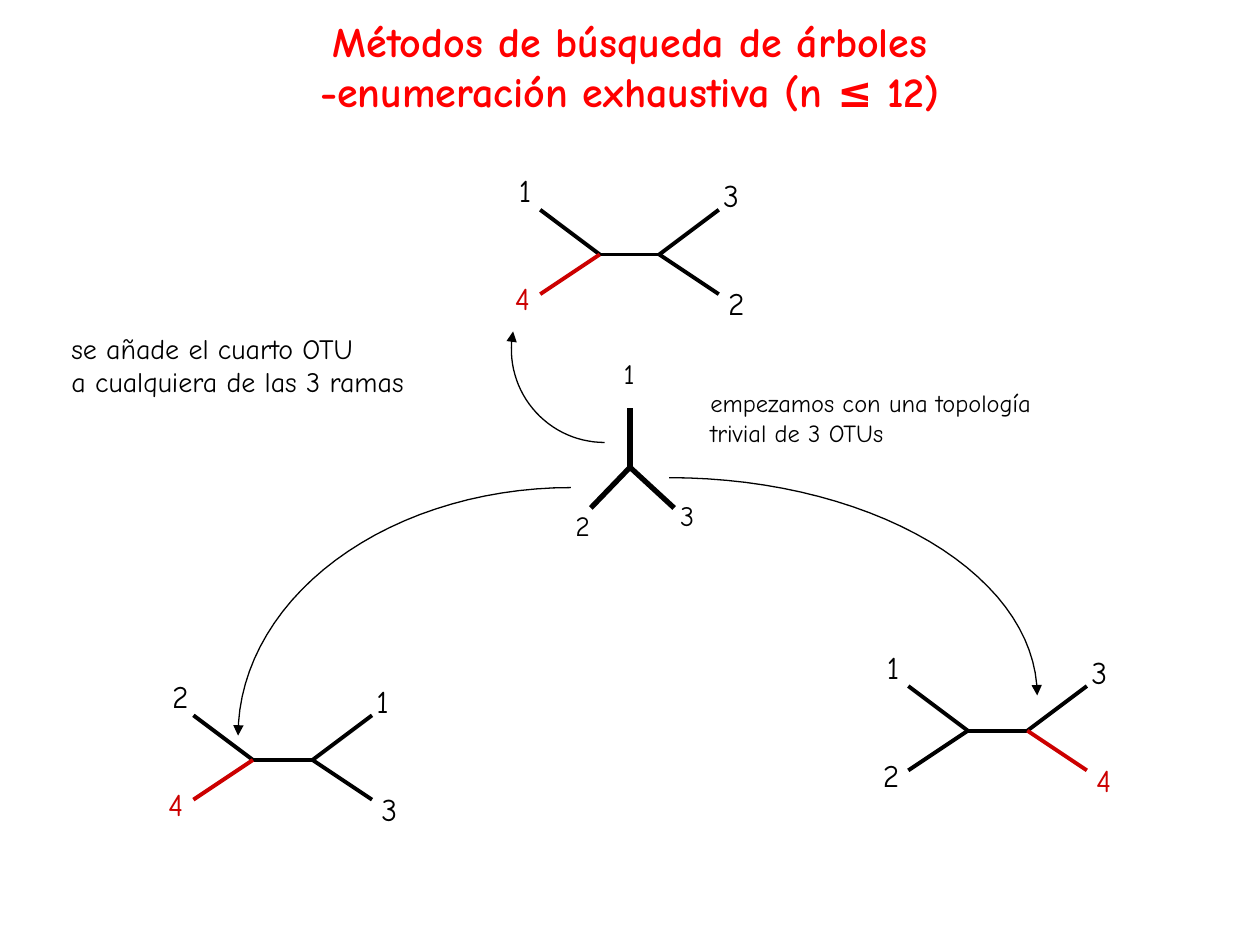
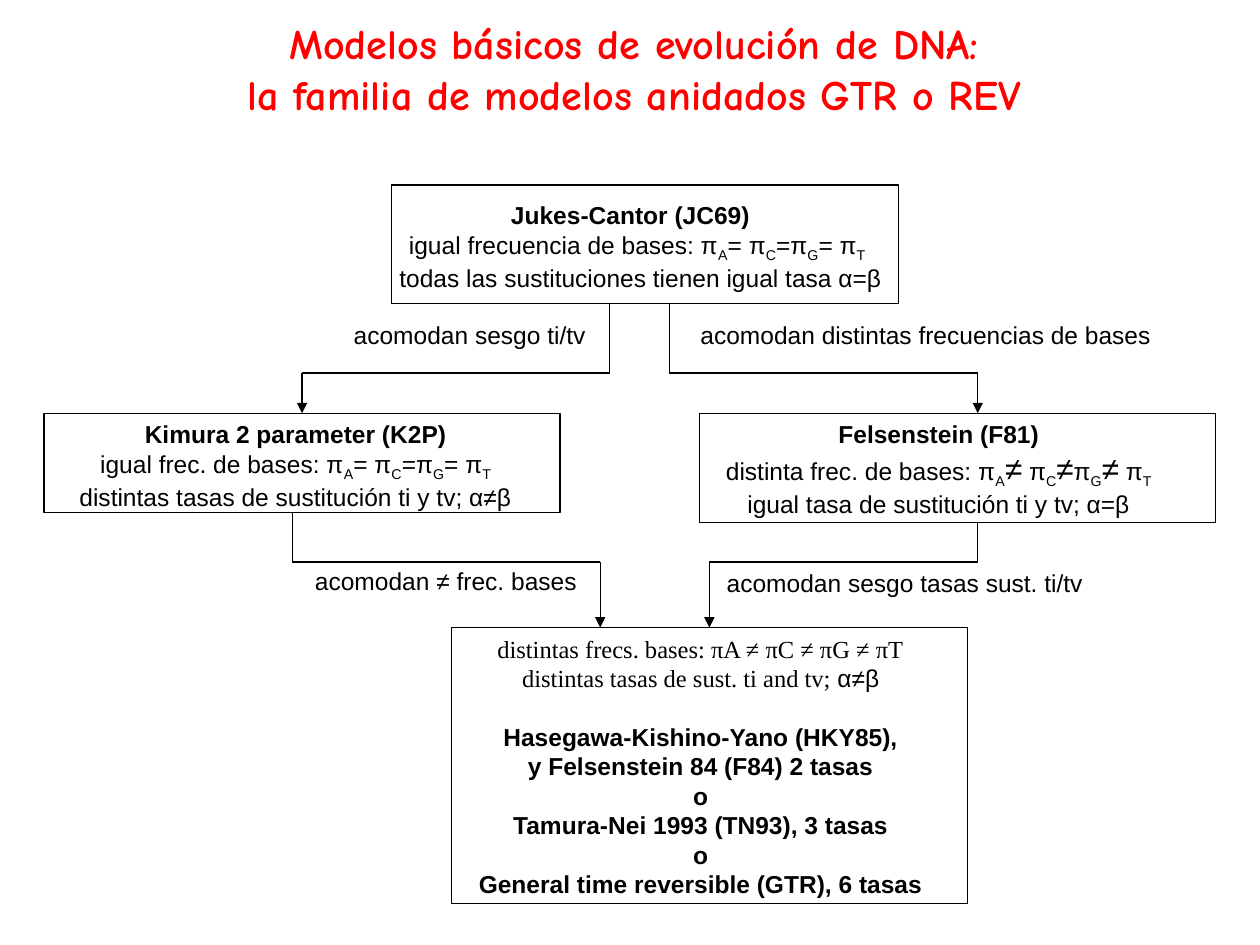
from dataclasses import dataclass
from math import cos, radians, sin

from lxml import etree
from pptx import Presentation
from pptx.dml.color import RGBColor
from pptx.enum.shapes import MSO_CONNECTOR, MSO_SHAPE
from pptx.enum.text import MSO_ANCHOR, MSO_AUTO_SIZE, PP_ALIGN
from pptx.oxml.ns import qn
from pptx.util import Cm, Pt

STRAIGHT = MSO_CONNECTOR.STRAIGHT
RECTANGLE = MSO_SHAPE.RECTANGLE
LEFT, CENTER = PP_ALIGN.LEFT, PP_ALIGN.CENTER
TOP = MSO_ANCHOR.TOP
FIT_SHAPE, NO_FIT = MSO_AUTO_SIZE.SHAPE_TO_FIT_TEXT, MSO_AUTO_SIZE.NONE

BLACK, WHITE, TITLE_RED, NEW_OTU_RED = "000000", "FFFFFF", "FF0000", "CC0000"
COMIC, ARIAL, TIMES = "Comic Neue", "Arial", "Times New Roman"
TITLE_ONLY = 5
TOP_SIDE = 0
THIN = 0.75
NEW_OTU = "4"


@dataclass
class Box:
    left: float
    top: float
    width: float
    height: float

    def lengths(self) -> tuple:
        return Cm(self.left), Cm(self.top), Cm(self.width), Cm(self.height)


@dataclass
class Run:
    text: str
    size: float = 14
    font: str = ARIAL
    bold: bool = False
    color: str = BLACK
    subscript: bool = False


@dataclass
class Line:
    runs: list[Run]
    indent: float = 0
    space_before: float = 0


@dataclass
class Quartet:
    """Four-OTU tree; tips run upper left, lower left, upper right, lower right."""
    x: float
    y: float
    tips: str


@dataclass
class Arc:
    """Arrow along an ellipse, from the end of its vertical radius."""
    x: float
    y: float
    radius_x: float
    radius_y: float
    sweep: float = 90


@dataclass
class Model:
    frame: Box
    text: Box
    lines: list[Line]


@dataclass
class Route:
    source_x: float
    source_y: float
    bend_y: float
    target_x: float
    target_y: float
    joins: str = ""


def rgb(color: str) -> RGBColor:
    return RGBColor.from_string(color)


def format_run(run, style: Run) -> None:
    run.font.size, run.font.name, run.font.bold = Pt(style.size), style.font, style.bold
    run.font.color.rgb = rgb(style.color)
    if style.subscript:
        run._r.get_or_add_rPr().set("baseline", "-25000")


def add_text(slide, box: Box, lines: list[Line], align=LEFT) -> None:
    frame = slide.shapes.add_textbox(*box.lengths()).text_frame
    frame.word_wrap, frame.auto_size = False, FIT_SHAPE
    for index, line in enumerate(lines):
        paragraph = frame.paragraphs[0] if index == 0 else frame.add_paragraph()
        paragraph.alignment = align
        if line.indent:
            paragraph._p.get_or_add_pPr().set("marL", str(Cm(line.indent)))
        if line.space_before:
            paragraph.space_before = Pt(line.space_before)
        for style in line.runs:
            run = paragraph.add_run()
            run.text = style.text
            format_run(run, style)


def add_titled_slide(deck, title: str, box: Box):
    slide = deck.slides.add_slide(deck.slide_layouts[TITLE_ONLY])
    heading = slide.shapes.title
    heading.left, heading.top, heading.width, heading.height = box.lengths()
    frame = heading.text_frame
    frame.text = title
    frame.word_wrap, frame.auto_size, frame.vertical_anchor = True, NO_FIT, TOP
    for paragraph in frame.paragraphs:
        paragraph.alignment = CENTER
        for run in paragraph.runs:
            format_run(run, Run(run.text, 24, COMIC, True, TITLE_RED))
    return slide


def style_line(line, width: float, color: str = BLACK, arrow: bool = False) -> None:
    line.color.rgb, line.width = rgb(color), Pt(width)
    if arrow:
        etree.SubElement(line._get_or_add_ln(), qn("a:tailEnd"), type="triangle")


def add_line(slide, start: tuple, end: tuple, width: float, color: str = BLACK,
             arrow: bool = False):
    connector = slide.shapes.add_connector(
        STRAIGHT, *(Cm(value) for value in (*start, *end)))
    style_line(connector.line, width, color, arrow)
    etree.SubElement(connector._element.spPr, qn("a:effectLst"))
    return connector


def add_otu_label(slide, x: float, y: float, otu: str, size: float) -> None:
    color = NEW_OTU_RED if otu == NEW_OTU else BLACK
    add_text(slide, Box(x, y, 0.82, 1), [Line([Run(otu, size, COMIC, color=color)])])


def add_quartet(slide, tree: Quartet) -> None:
    inner = 1.2
    add_line(slide, (tree.x, tree.y), (tree.x + inner, tree.y), 2.25)
    # node, tip and label offsets from the left inner node
    corners = [(0, -1.2, -0.9, -1.88, -1.8), (0, -1.2, 0.8, -1.96, 0.38),
               (inner, 2.4, -0.9, 2.24, -1.7), (inner, 2.4, 0.8, 2.34, 0.48)]
    for otu, (node, tip_x, tip_y, label_x, label_y) in zip(tree.tips, corners):
        color = NEW_OTU_RED if otu == NEW_OTU else BLACK
        add_line(slide, (tree.x + node, tree.y), (tree.x + tip_x, tree.y + tip_y), 2.25, color)
        add_otu_label(slide, tree.x + label_x, tree.y + label_y, otu, 18)


def add_arc(slide, arc: Arc, steps: int = 30) -> None:
    angles = [radians(arc.sweep * step / steps) for step in range(steps + 1)]
    points = [(Cm(arc.x + arc.radius_x * sin(angle)), Cm(arc.y + arc.radius_y * cos(angle)))
              for angle in angles]
    builder = slide.shapes.build_freeform(*points[0])
    builder.add_line_segments(points[1:], close=False)
    curve = builder.convert_to_shape()
    curve.shadow.inherit = False
    curve.fill.background()
    style_line(curve.line, THIN, arrow=True)


def add_model(slide, model: Model):
    frame = slide.shapes.add_shape(RECTANGLE, *model.frame.lengths())
    frame.shadow.inherit = False
    frame.fill.solid()
    frame.fill.fore_color.rgb = rgb(WHITE)
    style_line(frame.line, THIN)
    add_text(slide, model.text, model.lines, CENTER)
    return frame


def add_route(slide, route: Route, frames: dict) -> None:
    points = [(route.source_x, route.source_y), (route.source_x, route.bend_y),
              (route.target_x, route.bend_y), (route.target_x, route.target_y)]
    for index in range(3):
        segment = add_line(slide, points[index], points[index + 1], THIN, arrow=index == 2)
    if route.joins:
        segment.end_connect(frames[route.joins], TOP_SIDE)


def bold_line(text: str, space_before: float = 0) -> Line:
    return Line([Run(text, bold=True)], space_before=space_before)


def frequencies(lead: str, sign: str, sign_size: float = 14, indent: float = 0) -> Line:
    """Compare the four base frequencies, with the bases as subscripts."""
    runs = [Run(lead + "π")]
    for base, gap in zip("ACG", (" ", "", " ")):
        runs += [Run(base, subscript=True), Run(sign, sign_size), Run(gap + "π")]
    return Line(runs + [Run("T", subscript=True)], indent)


def build_search_slide(deck) -> None:
    slide = add_titled_slide(
        deck, "Métodos de búsqueda de árboles\n-enumeración exhaustiva (n ≤ 12)",
        Box(3.7, 0.18, 18, 2.29))

    center = (12.7, 9.42)
    for tip in [(12.7, 8.23), (11.91, 10.24), (13.59, 10.24)]:
        add_line(slide, center, tip, 3)
    for otu, x, y in [("1", 12.32, 7.06), ("2", 11.35, 10.13), ("3", 13.46, 9.93)]:
        add_otu_label(slide, x, y, otu, 16)

    for tree in [Quartet(12.09, 5.13, "1432"), Quartet(5.1, 15.32, "2413"),
                 Quartet(19.51, 14.73, "1234")]:
        add_quartet(slide, tree)
    for arc in [Arc(12.19, 7.04, -1.88, 1.88, 101), Arc(11.51, 14.83, -6.71, -5),
                Arc(13.49, 14.02, 7.42, -4.39)]:
        add_arc(slide, arc)

    remarks = [
        (Box(1.19, 6.55, 7.24, 1.63), 16,
         ["se añade el cuarto OTU", "a cualquiera de las 3 ramas"]),
        (Box(14.07, 7.7, 7.01, 1.45), 14,
         ["empezamos con una topología", "trivial de 3 OTUs"]),
    ]
    for box, size, texts in remarks:
        add_text(slide, box, [Line([Run(text, size, COMIC)]) for text in texts])


def build_models_slide(deck) -> None:
    slide = add_titled_slide(
        deck,
        "Modelos básicos de evolución de DNA:\nla familia de modelos anidados GTR o REV",
        Box(3.78, 0.23, 18, 2.29))

    models = {
        "JC69": Model(Box(7.9, 3.73, 10.21, 2.39), Box(7.39, 3.91, 10.64, 2.13), [
            bold_line("Jukes-Cantor (JC69)"),
            frequencies("igual frecuencia de bases: ", "=", indent=0.27),
            Line([Run("todas las sustituciones tienen igual tasa α=β")], 0.41)]),
        "K2P": Model(Box(0.89, 8.33, 10.4, 2.01), Box(1.35, 8.33, 9.22, 2.13), [
            bold_line("Kimura 2 parameter (K2P)"),
            frequencies("igual frec. de bases: ", "="),
            Line([Run("distintas tasas de sustitución ti y tv; α≠β")])]),
        "F81": Model(Box(14.1, 8.33, 10.4, 2.21), Box(14.38, 8.33, 9.09, 2.26), [
            bold_line("Felsenstein (F81)"),
            frequencies("distinta frec. de bases: ", "≠", 18),
            Line([Run("igual tasa de sustitución ti y tv; α=β")])]),
        "HKY85": Model(Box(9.1, 12.65, 10.4, 5.56), Box(9.4, 12.65, 9.45, 5.59), [
            Line([Run("distintas frecs. bases: πA ≠ πC ≠ πG ≠ πT", font=TIMES)]),
            Line([Run("distintas tasas de sust. ti and tv; ", font=TIMES), Run("α≠β")]),
            bold_line("Hasegawa-Kishino-Yano (HKY85),", space_before=16.8),
            *map(bold_line, ["y Felsenstein 84 (F84) 2 tasas", "o",
                             "Tamura-Nei 1993 (TN93), 3 tasas", "o",
                             "General time reversible (GTR), 6 tasas"])]),
    }
    frames = {name: add_model(slide, model) for name, model in models.items()}

    for route in [Route(12.29, 6.12, 7.52, 6.09, 8.33, "K2P"),
                  Route(13.49, 6.12, 7.52, 19.71, 8.33),
                  Route(5.89, 10.34, 11.33, 12.1, 12.65),
                  Route(19.71, 10.54, 11.33, 14.3, 12.65, "HKY85")]:
        add_route(slide, route, frames)

    for x, y, width, change in [
            (6.88, 6.32, 5.2, "acomodan sesgo ti/tv"),
            (13.87, 6.32, 9.8, "acomodan distintas frecuencias de bases"),
            (6.1, 11.28, 5.95, "acomodan ≠ frec. bases"),
            (14.4, 11.33, 7.8, "acomodan sesgo tasas sust. ti/tv")]:
        add_text(slide, Box(x, y, width, 0.86), [Line([Run(change)])])


def main() -> None:
    deck = Presentation()
    deck.slide_width, deck.slide_height = Cm(25.4), Cm(19.05)
    build_search_slide(deck)
    build_models_slide(deck)
    deck.save("out.pptx")


if __name__ == "__main__":
    main()
